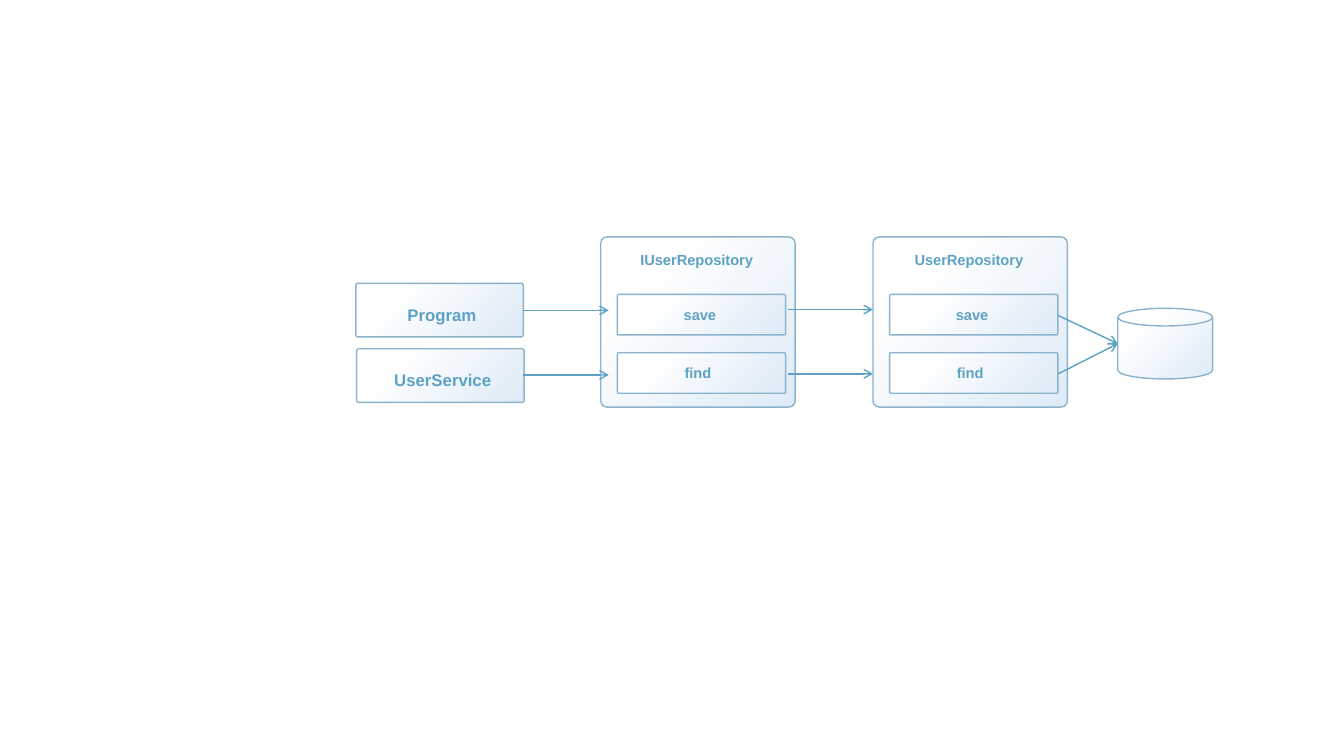
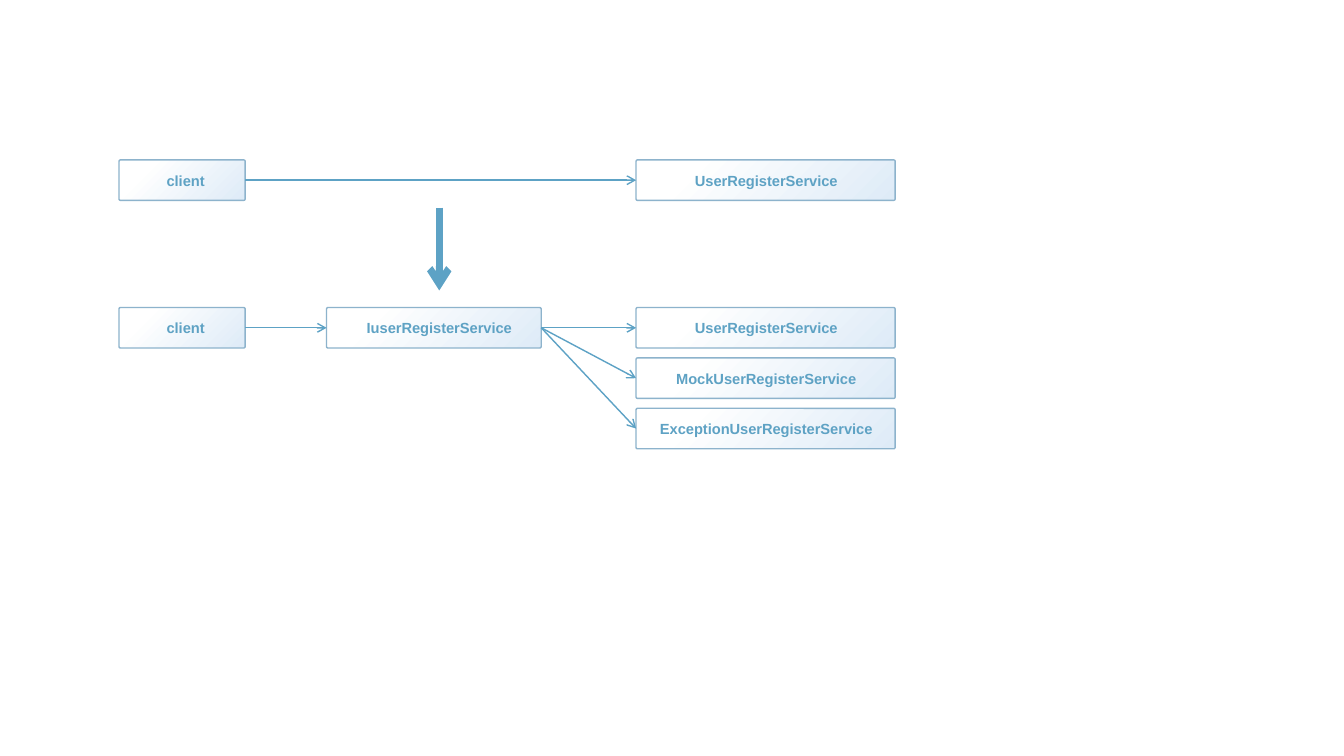
from lxml.etree import SubElement
from pptx import Presentation
from pptx.dml.color import RGBColor
from pptx.enum.shapes import MSO_CONNECTOR, MSO_SHAPE
from pptx.enum.text import MSO_ANCHOR, PP_ALIGN
from pptx.oxml.ns import qn
from pptx.util import Cm, Pt

COLOURS = {"text": "5EA2C4", "arrow": "5DA2C5", "border": "8DB3CC",
           "light": "FFFFFF", "shade": "DEEBF7"}
FONT = "Arial"
CORNER = 0.038
BOX_HEIGHT = 1.02
RIGHT_SITE, LEFT_SITE = 3, 1


def colour(name):
    """Return a palette colour by name."""
    return RGBColor.from_string(COLOURS[name])


def write_text(shape, text, size=10.5, anchor=MSO_ANCHOR.MIDDLE,
               shift=0, drop=0):
    """Write a bold centred label, moved right by shift and down by drop."""
    frame = shape.text_frame
    frame.word_wrap = True
    frame.vertical_anchor = anchor
    frame.margin_left = Cm(max(2 * shift, 0))
    frame.margin_right = Cm(max(-2 * shift, 0))
    frame.margin_top = Cm(drop)
    frame.margin_bottom = Cm(0)
    para = frame.paragraphs[0]
    para.alignment = PP_ALIGN.CENTER
    span = para.add_run()
    span.text = text
    span.font.name = FONT
    span.font.size = Pt(size)
    span.font.bold = True
    span.font.color.rgb = colour("text")


def add_panel(page, left, top, width, height,
              kind=MSO_SHAPE.ROUNDED_RECTANGLE):
    """Add a shape with the shared gradient and border."""
    panel = page.shapes.add_shape(
        kind, Cm(left), Cm(top), Cm(width), Cm(height))
    panel.shadow.inherit = False
    if kind == MSO_SHAPE.ROUNDED_RECTANGLE:
        panel.adjustments[0] = CORNER
    panel.fill.gradient()
    panel.fill.gradient_angle = 315
    stops = zip(panel.fill.gradient_stops, (0.21, 1), ("light", "shade"))
    for stop, position, name in stops:
        stop.position = position
        stop.color.rgb = colour(name)
    panel.line.color.rgb = colour("border")
    panel.line.width = Pt(1)
    return panel


def add_box(page, text, left, top, width, height=BOX_HEIGHT, **text_format):
    """Add a labelled box."""
    box = add_panel(page, left, top, width, height)
    write_text(box, text, **text_format)
    return box


def add_arrow(page, start, end, width=1):
    """Draw an arrow between two points."""
    arrow = page.shapes.add_connector(
        MSO_CONNECTOR.STRAIGHT, *map(Cm, start + end))
    arrow.line.color.rgb = colour("arrow")
    arrow.line.width = Pt(width)
    SubElement(arrow.line._get_or_add_ln(), qn("a:tailEnd"), type="arrow")
    SubElement(arrow._element.spPr, qn("a:effectLst"))
    return arrow


def link(page, source, target):
    """Attach an arrow from the right of one box to the left of another."""
    arrow = add_arrow(page, (0, 0), (1, 1))
    arrow.begin_connect(source, RIGHT_SITE)
    arrow.end_connect(target, LEFT_SITE)


def add_class_card(page, title, left, top):
    """Add a class card with its two methods."""
    add_box(page, title, left, top, 4.9, 4.29,
            anchor=MSO_ANCHOR.TOP, drop=0.3, shift=-0.03)
    for row, (method, shift) in enumerate((("save", -0.04), ("find", -0.09))):
        add_box(page, method, left + 0.42, top + 1.45 + row * 1.47, 4.24,
                shift=shift)


def build_repository_page(page):
    """Show callers reaching the database through a repository interface."""
    for row, caller in enumerate(("Program", "UserService")):
        add_box(page, caller, 8.97 + row * 0.02, 7.14 + row * 1.65, 4.22, 1.35,
                size=12, shift=0.06, drop=0.22)
    for column, title in enumerate(("IUserRepository", "UserRepository")):
        add_class_card(page, title, 15.14 + column * 6.86, 5.97)
    add_panel(page, 28.17, 7.77, 2.39, 1.78, MSO_SHAPE.CAN)
    for caller_y, card_y, method_y in ((7.82, 7.8, 7.95), (9.45, 9.42, 9.42)):
        add_arrow(page, (13.19, caller_y), (15.34, caller_y))
        add_arrow(page, (19.86, card_y), (22, card_y))
        add_arrow(page, (26.67, method_y), (28.17, 8.66))


def add_client(page, top):
    """Add a client box."""
    return add_box(page, "client", 3, top, 3.18, shift=0.09)


def add_service(page, text, top):
    """Add a service box."""
    return add_box(page, text, 16.03, top, 6.53, shift=0.02)


def build_service_page(page):
    """Show a direct dependency turning into one on an interface."""
    before, after = 4.03, 7.75
    link(page, add_client(page, before),
         add_service(page, "UserRegisterService", before))
    interface = add_box(page, "IuserRegisterService", 8.23, after, 5.41,
                        shift=0.14)
    link(page, add_client(page, after), interface)
    for row, prefix in enumerate(("", "Mock", "Exception")):
        service = add_service(page, prefix + "UserRegisterService",
                              after + row * 1.27)
        link(page, interface, service)
    add_arrow(page, (11.07, 5.23), (11.07, 7.32), width=5)


def main():
    """Build and save the deck."""
    deck = Presentation()
    deck.slide_width, deck.slide_height = Cm(33.87), Cm(19.05)
    for build in (build_repository_page, build_service_page):
        build(deck.slides.add_slide(deck.slide_layouts[6]))
    deck.save("out.pptx")


if __name__ == "__main__":
    main()
